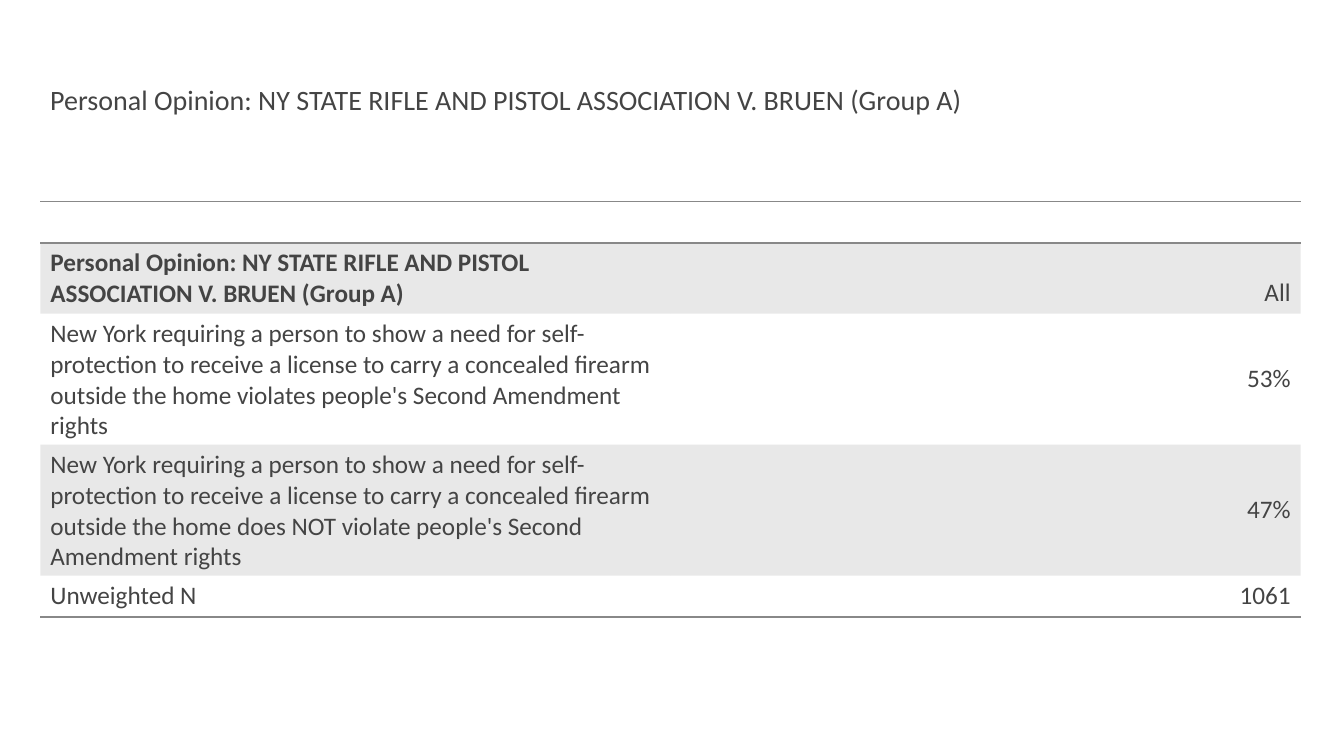
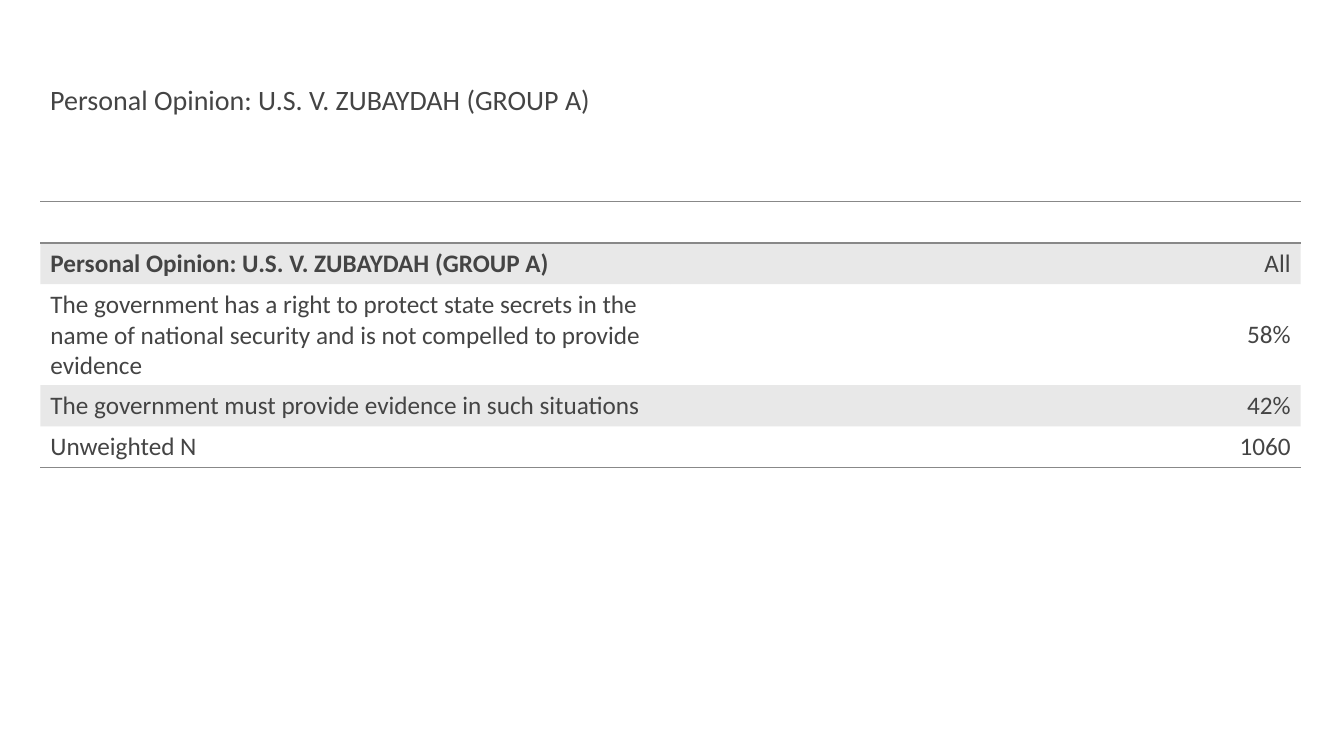
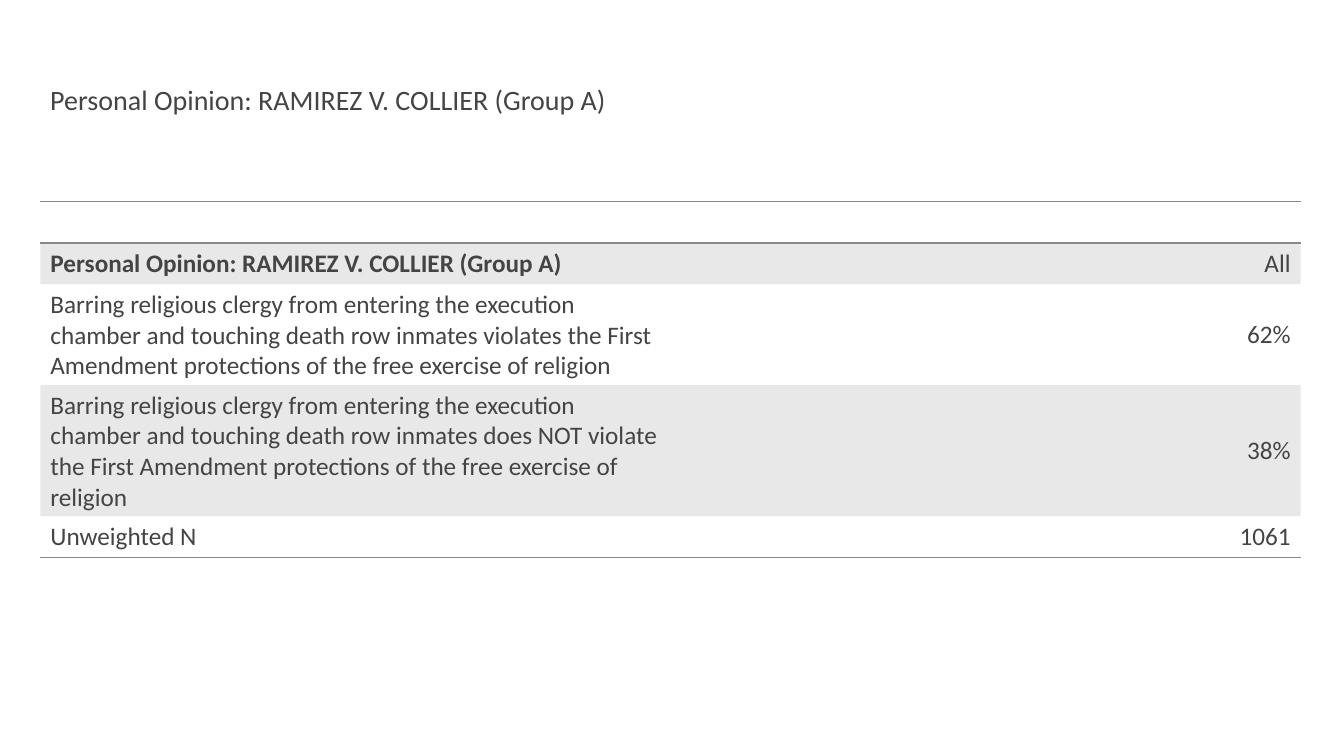
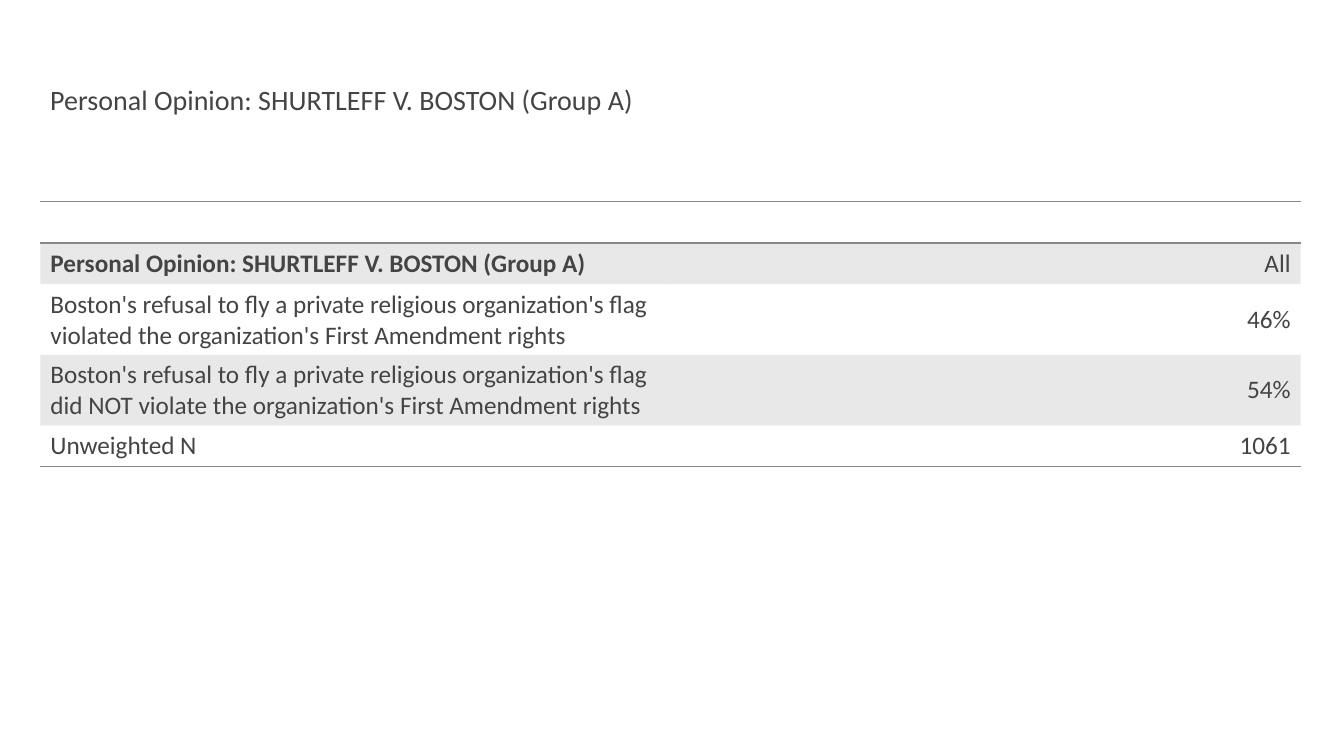
from lxml import etree
from pptx import Presentation
from pptx.dml.color import RGBColor
from pptx.enum import text
from pptx.oxml import ns
from pptx.util import Inches, Pt

INK, RULE = "444444", "888888"
BAND_ALPHA = 12000  # thousandths of a percent
NO_STYLE = "{2D5ABB26-0587-4C30-8999-92F81FD0307C}"
LEFT, WIDTH, ROW_H = 0.4, 12.5, 0.41

POLLS = [
    ("NY STATE RIFLE AND PISTOL ASSOCIATION V. BRUEN (Group A)", [
        ("New York requiring a person to show a need for self-protection to receive a license "
         "to carry a concealed firearm outside the home violates people's Second Amendment rights",
         "53%"),
        ("New York requiring a person to show a need for self-protection to receive a license "
         "to carry a concealed firearm outside the home does NOT violate people's Second "
         "Amendment rights", "47%"),
        ("Unweighted N", "1061")]),
    ("U.S. V. ZUBAYDAH (GROUP A)", [
        ("The government has a right to protect state secrets in the name of national security "
         "and is not compelled to provide evidence", "58%"),
        ("The government must provide evidence in such situations", "42%"),
        ("Unweighted N", "1060")]),
    ("RAMIREZ V. COLLIER (Group A)", [
        ("Barring religious clergy from entering the execution chamber and touching death row "
         "inmates violates the First Amendment protections of the free exercise of religion",
         "62%"),
        ("Barring religious clergy from entering the execution chamber and touching death row "
         "inmates does NOT violate the First Amendment protections of the free exercise of "
         "religion", "38%"),
        ("Unweighted N", "1061")]),
    ("SHURTLEFF V. BOSTON (Group A)", [
        ("Boston's refusal to fly a private religious organization's flag violated the "
         "organization's First Amendment rights", "46%"),
        ("Boston's refusal to fly a private religious organization's flag did NOT violate the "
         "organization's First Amendment rights", "54%"),
        ("Unweighted N", "1061")]),
]


def style_font(font, size, color, bold=False):
    font.name, font.size, font.bold = "Calibri", Pt(size), bold
    font.color.rgb = RGBColor.from_string(color)


def add_border(cell, tag):
    """Draw one cell edge; tag is a:lnT or a:lnB. Add the bottom before the top."""
    ln = etree.Element(ns.qn(tag), w=str(Pt(1)))
    fill = etree.SubElement(ln, ns.qn("a:solidFill"))
    etree.SubElement(fill, ns.qn("a:srgbClr"), val=RULE)
    cell._tc.get_or_add_tcPr().insert(0, ln)


prs = Presentation()
prs.slide_width, prs.slide_height = Inches(13.33), Inches(7.5)

for case, answers in POLLS:
    title = "Personal Opinion: " + case
    slide = prs.slides.add_slide(prs.slide_layouts[6])

    tf = slide.shapes.add_textbox(Inches(LEFT), Inches(0.4), Inches(WIDTH), Inches(0.81)).text_frame
    tf.word_wrap = True
    tf.vertical_anchor = text.MSO_ANCHOR.BOTTOM
    p = tf.paragraphs[0]
    p.text = title
    p.line_spacing = 0.9
    style_font(p.font, 20, INK)

    rows = [("", ""), (title, "All")] + answers
    frame = slide.shapes.add_table(len(rows), 2, Inches(LEFT), Inches(2),
                                   Inches(WIDTH), Inches(ROW_H * len(rows)))
    table = frame.table
    table.first_row = table.horz_banding = False
    next(table._tbl.iter(ns.qn("a:tableStyleId"))).text = NO_STYLE

    for i, row in enumerate(rows):
        for j, value in enumerate(row):
            cell = table.cell(i, j)
            heading = i == 1
            cell.vertical_anchor = text.MSO_ANCHOR.BOTTOM if heading else text.MSO_ANCHOR.MIDDLE
            p = cell.text_frame.paragraphs[0]
            if value:
                p.text = value
                p.alignment = text.PP_ALIGN.RIGHT if j else text.PP_ALIGN.LEFT
                style_font(p.font, 18, INK, bold=heading and j == 0)
            if i % 2:
                cell.fill.solid()
                cell.fill.fore_color.rgb = RGBColor.from_string(INK)
                color = next(cell._tc.iter(ns.qn("a:srgbClr"), ))
                # The band is the only fill here: text colours precede it, so take the one in tcPr.
                color = next(cell._tc.tcPr.iter(ns.qn("a:srgbClr")))
                etree.SubElement(color, ns.qn("a:alpha"), val=str(BAND_ALPHA))
            else:
                cell.fill.background()
            if i in (0, len(rows) - 1):
                add_border(cell, "a:lnB")
            if i == 0:
                add_border(cell, "a:lnT")

prs.save("out.pptx")
